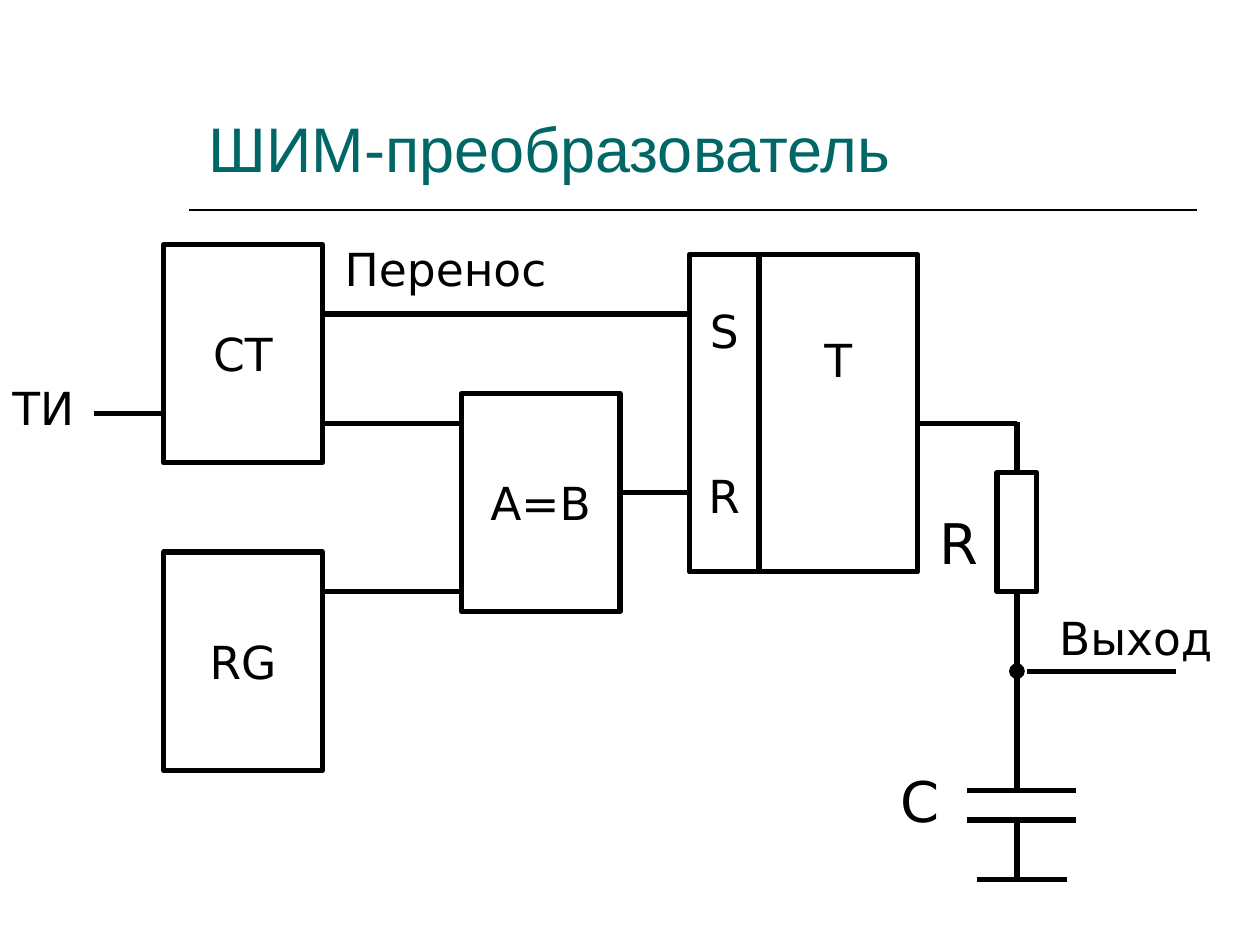
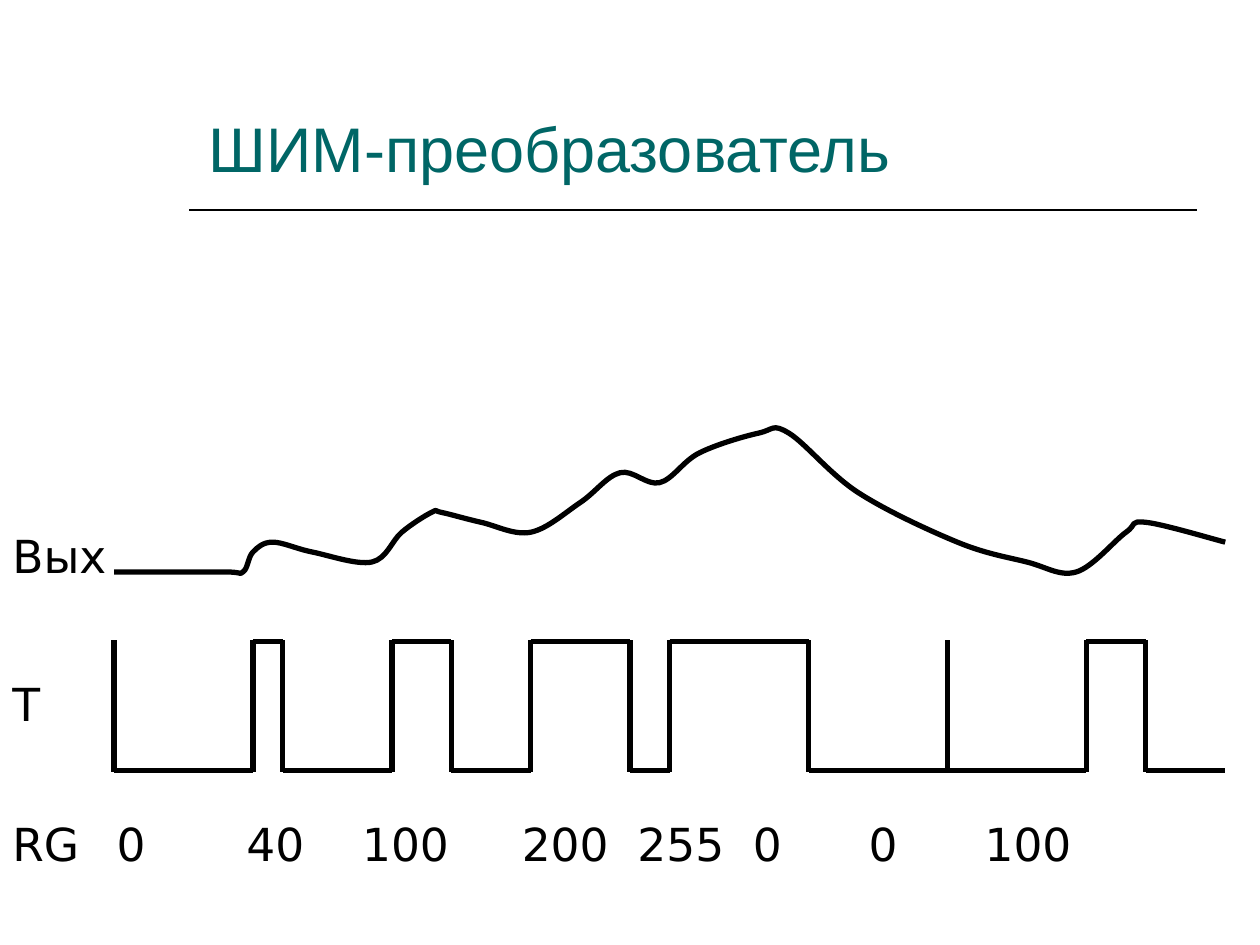
"""Builds two slides on a PWM converter: its circuit and its timing diagram."""
from dataclasses import dataclass

from lxml.etree import SubElement
from pptx import Presentation
from pptx.dml.color import RGBColor
from pptx.enum.shapes import MSO_CONNECTOR, MSO_SHAPE
from pptx.enum.text import MSO_ANCHOR, PP_ALIGN
from pptx.oxml.ns import qn
from pptx.util import Cm, Pt


@dataclass(frozen=True)
class Theme:
    """Colours, fonts, type sizes and line widths of the deck."""
    ink: RGBColor = RGBColor(0, 0, 0)
    paper: RGBColor = RGBColor(255, 255, 255)
    accent: RGBColor = RGBColor(0, 0x66, 0x66)
    title_font: str = "Arial"
    label_font: str = "DejaVu Sans"
    title_size: int = 36
    label_size: int = 26
    part_size: int = 32
    wire: float = 3
    rule: float = 1


class Deck:
    """Draws styled elements on the current slide."""

    def __init__(self, prs, theme):
        """Keep the presentation and its theme."""
        self.prs, self.theme, self.s = prs, theme, None

    def new_slide(self, title):
        """Start a blank slide with the shared title and rule."""
        t = self.theme
        self.s = self.prs.slides.add_slide(self.prs.slide_layouts[6])
        self.line(3.81, 4.24, 24.13, 4.24, width=t.rule)
        tf = self.label(title, 3.96, 0.99, 20.02, 2.87, t.title_size, t.title_font, t.accent)
        tf.vertical_anchor = MSO_ANCHOR.BOTTOM

    def style(self, tf, size, font, color):
        """Format every run of a text frame."""
        for p in tf.paragraphs:
            for r in p.runs:
                r.font.size, r.font.name = Pt(size), font
                r.font.color.rgb = color

    def label(self, text, x, y, w, h=1.37, size=None, font=None, color=None):
        """Add a wrapping text box and return its text frame."""
        t = self.theme
        tf = self.s.shapes.add_textbox(Cm(x), Cm(y), Cm(w), Cm(h)).text_frame
        tf.word_wrap = True
        tf.text = text
        self.style(tf, size or t.label_size, font or t.label_font, color or t.ink)
        return tf

    def tabbed(self, texts, stops, x, y, w):
        """Add one row of texts aligned on tab stops."""
        p = self.label("\t".join(texts), x, y, w).paragraphs[0]
        tabs = SubElement(p._p.get_or_add_pPr(), qn("a:tabLst"))
        for stop in stops:
            SubElement(tabs, qn("a:tab"), pos=str(Cm(stop)), algn="l")

    def box(self, text, x, y, w, h, gap=0, lift=0):
        """Add an outlined block, with a gap between lines or a lift of the text."""
        t = self.theme
        sp = self.s.shapes.add_shape(MSO_SHAPE.RECTANGLE, Cm(x), Cm(y), Cm(w), Cm(h))
        sp.shadow.inherit = False
        sp.fill.solid()
        sp.fill.fore_color.rgb = t.paper
        self.stroke(sp, t.wire)
        tf = sp.text_frame
        tf.word_wrap = False
        tf.vertical_anchor = MSO_ANCHOR.MIDDLE
        tf.margin_bottom = Cm(0.13 + lift)
        tf.text = text
        for i, p in enumerate(tf.paragraphs):
            p.alignment = PP_ALIGN.CENTER
            if i:
                p.space_before = Pt(gap)
        self.style(tf, t.label_size, t.label_font, t.ink)
        return sp

    def stroke(self, sp, width):
        """Give a shape or connector the ink outline."""
        sp.line.color.rgb = self.theme.ink
        sp.line.width = Pt(width)

    def line(self, x1, y1, x2, y2, width=None, start=None, dot=False):
        """Add a straight line, joined to start=(shape, side), ending in a dot."""
        c = self.s.shapes.add_connector(MSO_CONNECTOR.STRAIGHT, Cm(x1), Cm(y1), Cm(x2), Cm(y2))
        self.stroke(c, width or self.theme.wire)
        if start:
            c.begin_connect(*start)
        if dot:
            SubElement(c.line._get_or_add_ln(), qn("a:tailEnd"), type="oval")
        SubElement(c._element.spPr, qn("a:effectLst"))

    def curve(self, knots):
        """Add a smooth open curve through the knots (Catmull-Rom rule)."""
        pts = [knots[0], *knots, knots[-1]]
        route = []
        for a, b, c, d in zip(pts, pts[1:], pts[2:], pts[3:]):
            route.append([q + (r - p) / 6 for p, q, r in zip(a, b, c)])
            route.append([q - (r - p) / 6 for p, q, r in zip(b, c, d)])
            route.append(c)
        fb = self.s.shapes.build_freeform(Cm(knots[0][0]), Cm(knots[0][1]))
        fb.add_line_segments([(Cm(x), Cm(y)) for x, y in route], close=False)
        sp = fb.convert_to_shape()
        sp.shadow.inherit = False
        sp.fill.background()
        self.stroke(sp, self.theme.wire)
        geom = next(sp._element.iter(qn("a:path")))
        segments = geom.findall(qn("a:lnTo"))
        for i in range(0, len(segments), 3):
            bezier = SubElement(geom, qn("a:cubicBezTo"))
            for segment in segments[i:i + 3]:
                bezier.append(segment[0])
                geom.remove(segment)


TITLE = "ШИМ-преобразователь"

PERIOD = 2.8
PULSES = [("0", 0), ("40", 0.6), ("100", 1.2), ("200", 2), ("255", PERIOD),
          ("0", 0), ("0", 0), ("100", 1.2)]
CODE_STOPS = [2.62, 4.95, 8.17, 10.5, 12.83, 15.16, 17.5]
OUTPUT = [(2.3, 11.53), (4.5, 11.53), (4.9, 11.53), (5.1, 11.13), (5.5, 10.93),
          (6.3, 11.13), (7.5, 11.33), (8.1, 10.73), (8.7, 10.33), (8.9, 10.33),
          (9.7, 10.53), (10.7, 10.73), (11.7, 10.13), (12.5, 9.53), (13.3, 9.73),
          (14.1, 9.13), (15.3, 8.73), (15.9, 8.73), (17.3, 9.93), (19.3, 10.93),
          (20.7, 11.33), (21.7, 11.53), (22.7, 10.73), (23.1, 10.53), (24.7, 10.93)]


def circuit(deck):
    """Draw the converter's block diagram with its RC filter."""
    deck.new_slide(TITLE)
    for text, x, y in [("СT", 3.3, 4.93), ("RG", 3.3, 11.13), ("A=B", 9.3, 7.93)]:
        deck.box(text, x, y, 3.2, 4.4)
    deck.box("S\nR", 13.9, 5.13, 1.4, 6.4, gap=63)
    deck.box("T", 15.3, 5.13, 3.2, 6.4, lift=2.18)
    resistor = deck.box("", 20.1, 9.53, 0.8, 2.4)

    for x1, x2, y in [(1.9, 3.3, 8.33), (6.5, 13.9, 6.33), (6.5, 9.3, 8.53),
                      (6.5, 9.3, 11.93), (12.5, 13.9, 9.93), (18.5, 20.5, 8.53),
                      (20.7, 23.7, 13.53), (19.5, 21.7, 15.93), (19.5, 21.7, 16.53),
                      (19.7, 21.5, 17.73)]:
        deck.line(x1, y, x2, y)
    axis = 20.5
    deck.line(axis, 9.53, axis, 8.5, start=(resistor, 0))
    deck.line(axis, 11.93, axis, 13.53, start=(resistor, 2))
    deck.line(axis, 15.93, axis, 13.53, dot=True)
    deck.line(axis, 16.53, axis, 17.73)

    deck.label("Перенос", 6.7, 4.73, 5.2)
    deck.label("ТИ", 0, 7.53, 5.2)
    deck.label("Выход", 21.1, 12.17, 4)
    for text, x, y in [("R", 18.7, 10.13), ("C", 17.9, 15.33)]:
        deck.label(text, x, y, 1.2, 1.63, deck.theme.part_size)


def timing(deck):
    """Draw the output curve, the trigger pulses and the register codes."""
    deck.new_slide(TITLE)
    high, low, overlap = 12.93, 15.53, 0.03
    for i, (_, width) in enumerate(PULSES):
        rise = 2.3 + i * PERIOD
        fall, end = rise + width, rise + PERIOD
        edges = [rise, fall] if 0 < width < PERIOD else [rise]
        for x in edges:
            deck.line(x, low + overlap, x, high - overlap)
        if width:
            deck.line(rise, high, fall, high)
        if width < PERIOD:
            deck.line(fall, low, end, low)
    deck.curve(OUTPUT)
    for text, y, w in [("Вых", 10.52, 2.7), ("Т", 13.51, 1.9), ("RG", 16.33, 2.7)]:
        deck.label(text, 0, y, w)
    deck.tabbed([code for code, _ in PULSES], CODE_STOPS, 2.1, 16.33, 22.2)


def main():
    """Build and save the deck."""
    prs = Presentation()
    prs.slide_width, prs.slide_height = Cm(25.4), Cm(19.05)
    deck = Deck(prs, Theme())
    circuit(deck)
    timing(deck)
    prs.save("out.pptx")


if __name__ == "__main__":
    main()
